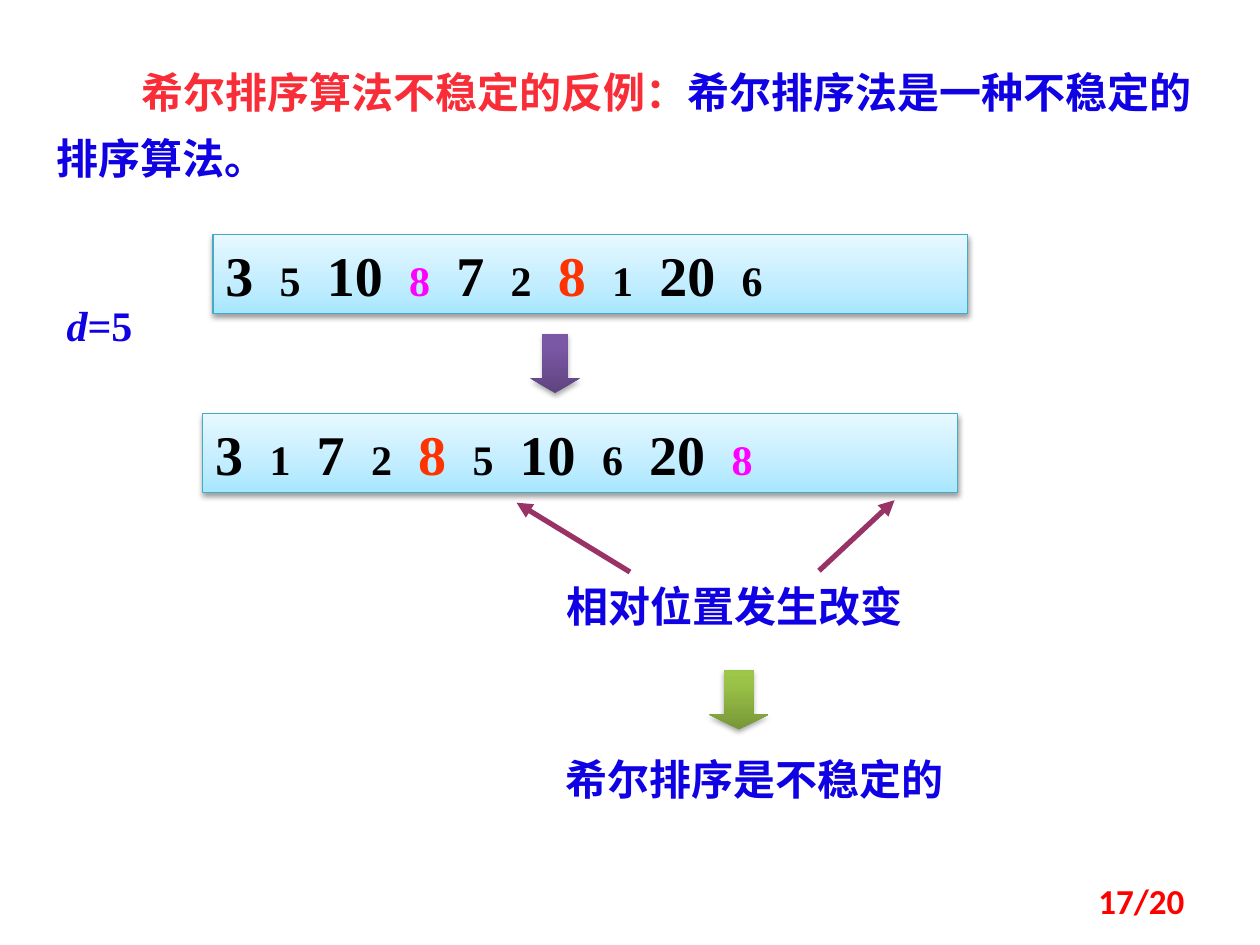
import pptx
import pptx.util
import pptx.dml.color
import pptx.enum.shapes
import pptx.enum.text
import pptx.oxml
import pptx.oxml.ns

Inches = pptx.util.Inches
Pt = pptx.util.Pt
Align = pptx.enum.text.PP_ALIGN
Anchor = pptx.enum.text.MSO_ANCHOR
Shapes = pptx.enum.shapes.MSO_SHAPE
NS = pptx.oxml.ns.nsdecls("a")

COLORS = {
    "blue": "1000E4", "heading": "F92D37", "black": "000000",
    "magenta": "FF00FF", "orange": "FF3300", "red": "FF0000",
    "border": "46AAC5", "pointer": "993366",
}
GRADIENTS = {
    "sequence": [(0, "A7E6FF"), (35, "C1EDFF"), (100, "E7F8FF")],
    "purple": [(0, "5F4480"), (80, "7B58A6"), (100, "7C57A8")],
    "green": [(0, "779737"), (80, "9BC348"), (100, "9DC746")],
}
VALUE_SIZES = (32, 24)
GAP_SIZE = 15


def rgb(name):
    return pptx.dml.color.RGBColor.from_string(COLORS[name])


def set_font(font, size, color, name="Times New Roman"):
    font.name = name
    font.size = Pt(size)
    font.bold = True
    font.color.rgb = rgb(color)


def add_block(slide, preset, box, gradient, shadow_alpha):
    block = slide.shapes.add_shape(preset, *map(Inches, box))
    stops = "".join(
        f'<a:gs pos="{pos * 1000}"><a:srgbClr val="{color}"/></a:gs>'
        for pos, color in GRADIENTS[gradient])
    properties = block.element.spPr
    properties.find(pptx.oxml.ns.qn("a:prstGeom")).addnext(pptx.oxml.parse_xml(
        f'<a:gradFill {NS} rotWithShape="1"><a:gsLst>{stops}</a:gsLst>'
        '<a:lin ang="16200000" scaled="0"/></a:gradFill>'))
    block.line.fill.background()
    properties.append(pptx.oxml.parse_xml(
        f'<a:effectLst {NS}><a:outerShdw blurRad="{Pt(3.1)}" dist="{Pt(1.7)}" '
        'dir="5400000" rotWithShape="0"><a:srgbClr val="000000">'
        f'<a:alpha val="{shadow_alpha * 1000}"/></a:srgbClr>'
        '</a:outerShdw></a:effectLst>'))
    return block


def add_heading(slide, box):
    heading = slide.shapes.title
    heading.left, heading.top, heading.width, heading.height = map(Inches, box)
    frame = heading.text_frame
    frame.word_wrap = True
    frame.auto_size = pptx.enum.text.MSO_AUTO_SIZE.NONE
    frame.vertical_anchor = Anchor.TOP
    paragraph = frame.paragraphs[0]
    paragraph.alignment = Align.LEFT
    paragraph.line_spacing = 1.3
    paragraph._p.get_or_add_pPr().set("indent", str(Inches(0.67)))
    set_font(paragraph.font, 24, "blue")
    for text, color in (("希尔排序算法不稳定的反例：", "heading"),
                        ("希尔排序法是一种不稳定的排序算法。", "blue")):
        run = paragraph.add_run()
        run.text = text
        run.font.color.rgb = rgb(color)


def add_sequence(slide, box, text, highlights):
    sequence = add_block(slide, Shapes.RECTANGLE, box, "sequence", 38)
    sequence.line.color.rgb = rgb("border")
    sequence.line.width = Pt(0.75)
    frame = sequence.text_frame
    frame.word_wrap = False
    frame.vertical_anchor = Anchor.MIDDLE
    paragraph = frame.paragraphs[0]
    paragraph.alignment = Align.LEFT
    set_font(paragraph.font, 24, "black")
    for index, value in enumerate(text.split("　")):
        if index:
            gap = paragraph.add_run()
            gap.text = "　"
            gap.font.size = Pt(GAP_SIZE)
        run = paragraph.add_run()
        run.text = value
        run.font.size = Pt(VALUE_SIZES[index % 2])
        run.font.color.rgb = rgb(highlights.get(index, "black"))


def add_down_arrow(slide, box, gradient, head):
    arrow = add_block(slide, Shapes.DOWN_ARROW, box, gradient, 35)
    arrow.adjustments[0] = 0.5
    arrow.adjustments[1] = head


def add_pointer(slide, start, end):
    pointer = slide.shapes.add_connector(
        pptx.enum.shapes.MSO_CONNECTOR.STRAIGHT, *map(Inches, start + end))
    pointer.line.color.rgb = rgb("pointer")
    pointer.line.width = Pt(3)
    pointer.line._get_or_add_ln().append(
        pptx.oxml.parse_xml(f'<a:tailEnd {NS} type="triangle"/>'))
    pointer._element.spPr.append(pptx.oxml.parse_xml(f"<a:effectLst {NS}/>"))


def add_label(slide, box, text, align=Align.CENTER, size=24, color="blue",
              font="Times New Roman", anchor=Anchor.TOP, italic_length=0):
    frame = slide.shapes.add_textbox(*map(Inches, box)).text_frame
    frame.word_wrap = True
    frame.vertical_anchor = anchor
    paragraph = frame.paragraphs[0]
    paragraph.alignment = align
    set_font(paragraph.font, size, color, font)
    if italic_length:
        variable = paragraph.add_run()
        variable.text = text[:italic_length]
        variable.font.italic = True
    paragraph.add_run().text = text[italic_length:]


def add_sorting_step(slide, left, top):
    add_sequence(slide, (left + 0.08, top, 5.99, 0.63),
                 "3　5　10　8　7　2　8　1　20　6",
                 {3: "magenta", 6: "orange"})
    add_label(slide, (left - 1.18, top + 0.47, 0.9, 0.5), "d=5",
              Align.LEFT, italic_length=1)
    add_sequence(slide, (left, top + 1.42, 5.99, 0.63),
                 "3　1　7　2　8　5　10　6　20　8",
                 {4: "orange", 9: "magenta"})
    add_down_arrow(slide, (left + 2.6, top + 0.79, 0.39, 0.47), "purple", 0.3)


def add_conclusion(slide, left, top):
    add_pointer(slide, (left + 1.02, top + 0.57), (left + 0.12, top + 0.02))
    add_pointer(slide, (left + 2.52, top + 0.56), (left + 3.12, top))
    add_label(slide, (left, top + 0.59, 3.7, 0.5), "相对位置发生改变")
    add_down_arrow(slide, (left + 1.65, top + 1.35, 0.47, 0.47), "green", 0.25)
    add_label(slide, (left + 0.23, top + 1.96, 3.55, 0.5), "希尔排序是不稳定的")


deck = pptx.Presentation()
deck.slide_width, deck.slide_height = Inches(10), Inches(7.5)
slide = deck.slides.add_slide(deck.slide_layouts[5])
add_heading(slide, (0.35, 0.36, 9.45, 1.09))
add_sorting_step(slide, 1.61, 1.86)
add_conclusion(slide, 3.98, 3.97)
add_label(slide, (7.17, 6.95, 2.33, 0.4), "17/20", Align.RIGHT, 20, "red",
          "Calibri", Anchor.MIDDLE)
deck.save("out.pptx")
